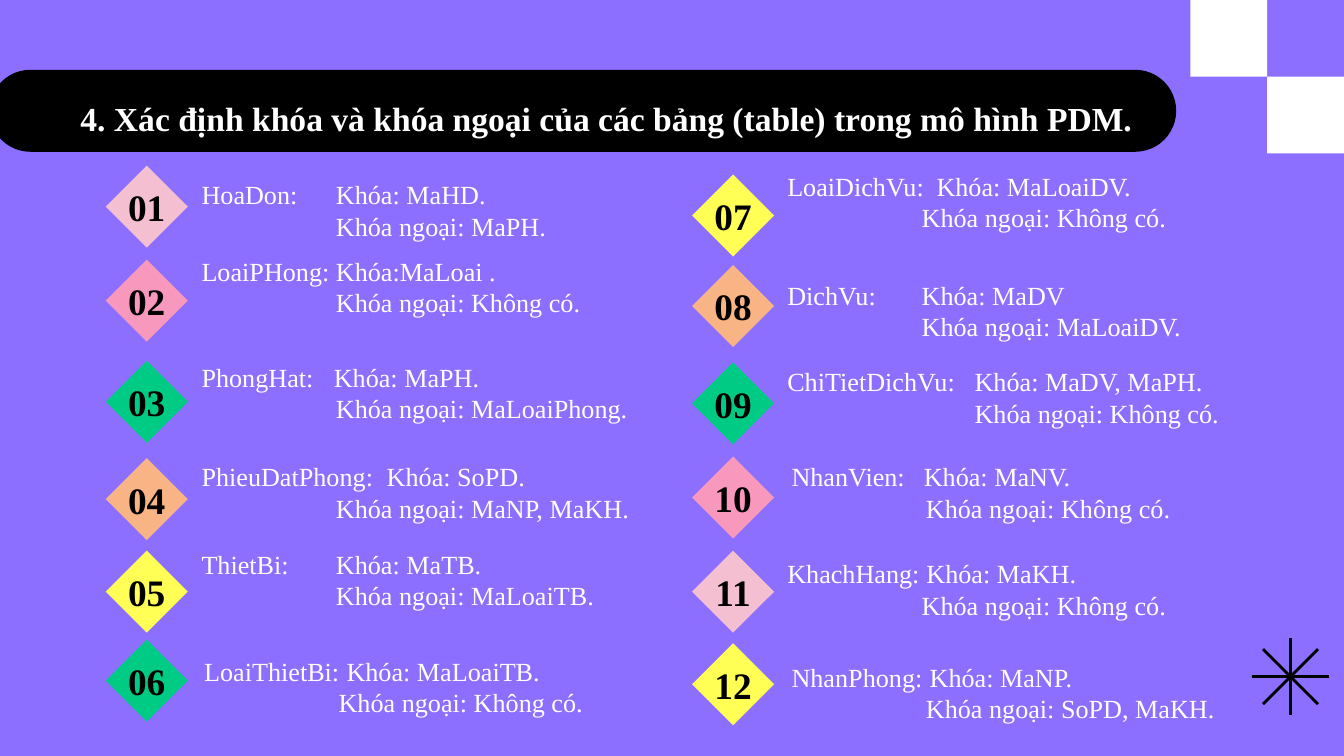
import dataclasses

import pptx
import pptx.dml.color
import pptx.enum.shapes
import pptx.enum.text
import pptx.oxml
import pptx.oxml.ns
import pptx.util
from pptx.util import Cm

PRESET = pptx.enum.shapes.MSO_SHAPE
ALIGN = pptx.enum.text.PP_ALIGN
ANCHOR = pptx.enum.text.MSO_ANCHOR
FONT = "Times New Roman"
COLOURS = {
    "violet": "8D6FFF",
    "white": "FFFFFF",
    "black": "000000",
    "blush": "F3BFD1",
    "pink": "F998BD",
    "green": "00CB84",
    "orange": "F9B485",
    "yellow": "FFFF56",
}
NUMBER_SIZE = 1.55
KEY_STOP = 2.54


@dataclasses.dataclass
class Table:
    """One database table; lengths in cm, stops measured from the text start."""
    name: str
    key: str
    foreign: str
    colour: str
    number_top: float
    text_top: float
    key_stop: float = KEY_STOP
    foreign_stop: float = KEY_STOP
    shift: float = 0


@dataclasses.dataclass
class Column:
    number_left: float
    text_left: float
    tables: list[Table]


COLUMNS = [
    Column(2, 3.56, [
        Table("HoaDon:", "Khóa: MaHD.", "MaPH.", "blush", 3.13, 3.28),
        Table("LoaiPHong:", "Khóa:MaLoai .", "Không có.", "pink", 4.91, 4.72),
        Table("PhongHat:", "Khóa: MaPH.", "MaLoaiPhong.", "green", 6.82, 6.73, key_stop=2.5),
        Table("PhieuDatPhong:", "Khóa: SoPD.", "MaNP, MaKH.", "orange", 8.66, 8.61, key_stop=3.5),
        Table("ThietBi:", "Khóa: MaTB.", "MaLoaiTB.", "yellow", 10.41, 10.26),
        Table("LoaiThietBi:", "Khóa: MaLoaiTB.", "Không có.", "green", 12.09, 12.29,
              key_stop=2.69, shift=0.05),
    ]),
    Column(13.08, 14.63, [
        Table("LoaiDichVu:", "Khóa: MaLoaiDV.", "Không có.", "yellow", 3.3, 3.12, key_stop=2.82),
        Table("DichVu:", "Khóa: MaDV", "MaLoaiDV.", "orange", 5.01, 5.18),
        Table("ChiTietDichVu:", "Khóa: MaDV, MaPH.", "Không có.", "green", 6.85, 6.81,
              key_stop=3.54, foreign_stop=3.54),
        Table("NhanVien:", "Khóa: MaNV.", "Không có.", "pink", 8.63, 8.61,
              key_stop=2.5, shift=0.08),
        Table("KhachHang:", "Khóa: MaKH.", "Không có.", "blush", 10.41, 10.44, key_stop=2.63),
        Table("NhanPhong:", "Khóa: MaNP.", "SoPD, MaKH.", "yellow", 12.16, 12.4,
              key_stop=2.61, shift=0.08),
    ]),
]


def rgb(colour: str) -> pptx.dml.color.RGBColor:
    return pptx.dml.color.RGBColor.from_string(COLOURS[colour])


def write(paragraph, text: str, *, size: float = 14, colour: str = "white",
          bold: bool = False, align=ALIGN.LEFT, stop: float | None = None) -> None:
    run = paragraph.add_run()
    run.text = text
    run.font.name = FONT
    run.font.size = pptx.util.Pt(size)
    run.font.bold = bold
    run.font.color.rgb = rgb(colour)
    paragraph.alignment = align
    if stop is not None:
        stops = pptx.oxml.parse_xml(
            f'<a:tabLst {pptx.oxml.ns.nsdecls("a")}>'
            f'<a:tab pos="{Cm(stop)}" algn="l"/></a:tabLst>')
        paragraph._p.get_or_add_pPr().append(stops)


def set_frame(frame, *, wrap: bool, anchor, side: float, end: float) -> None:
    frame.word_wrap = wrap
    frame.auto_size = pptx.enum.text.MSO_AUTO_SIZE.NONE
    frame.vertical_anchor = anchor
    frame.margin_left = frame.margin_right = Cm(side)
    frame.margin_top = frame.margin_bottom = Cm(end)


def add_block(slide, preset, left: float, top: float, width: float, height: float, colour: str):
    block = slide.shapes.add_shape(preset, Cm(left), Cm(top), Cm(width), Cm(height))
    block.shadow.inherit = False
    block.fill.solid()
    block.fill.fore_color.rgb = rgb(colour)
    block.line.fill.background()
    return block


def add_star(slide, x: float, y: float) -> None:
    for dx, dy in [(0, 0.73), (0.73, 0), (0.52, 0.52), (0.52, -0.52)]:
        ray = slide.shapes.add_connector(
            pptx.enum.shapes.MSO_CONNECTOR.STRAIGHT,
            Cm(x - dx), Cm(y - dy), Cm(x + dx), Cm(y + dy))
        ray.line.color.rgb = rgb("black")
        ray.line.width = pptx.util.Pt(1.5)
        ray._element.spPr.append(
            pptx.oxml.parse_xml(f'<a:effectLst {pptx.oxml.ns.nsdecls("a")}/>'))


def add_title(slide, text: str) -> None:
    title = slide.shapes.title
    bar = add_block(slide, PRESET.ROUNDED_RECTANGLE, -0.2, 1.32, 22.43, 1.55, "black")
    bar.adjustments[0] = 0.5
    title._element.addprevious(bar._element)
    title.left, title.top, title.width, title.height = Cm(0), Cm(1.47), Cm(22.43), Cm(1.14)
    set_frame(title.text_frame, wrap=True, anchor=ANCHOR.MIDDLE, side=0.25, end=0.25)
    heading = title.text_frame.paragraphs[0]
    heading.line_spacing = 1.5
    heading.space_before = heading.space_after = pptx.util.Pt(6)
    heading._p.get_or_add_pPr().set("marL", str(Cm(1.27)))
    write(heading, text, size=18, bold=True, align=ALIGN.JUSTIFY)


def add_entry(slide, column: Column, number: int, table: Table) -> None:
    diamond = add_block(slide, PRESET.DIAMOND, column.number_left, table.number_top,
                        NUMBER_SIZE, NUMBER_SIZE, table.colour)
    set_frame(diamond.text_frame, wrap=False, anchor=ANCHOR.MIDDLE, side=0, end=0)
    write(diamond.text_frame.paragraphs[0], f"{number:02}", size=20, colour="black",
          bold=True, align=ALIGN.CENTER)

    keys = slide.shapes.add_textbox(Cm(column.text_left + table.shift), Cm(table.text_top),
                                    Cm(8.76), Cm(1.32)).text_frame
    set_frame(keys, wrap=True, anchor=ANCHOR.TOP, side=0.25, end=0.1)
    write(keys.paragraphs[0], f"{table.name}\t{table.key}", stop=table.key_stop)
    write(keys.add_paragraph(), f"\tKhóa ngoại: {table.foreign}", stop=table.foreign_stop)


def main() -> None:
    deck = pptx.Presentation()
    deck.slide_width, deck.slide_height = Cm(25.4), Cm(14.29)
    slide = deck.slides.add_slide(deck.slide_layouts[5])
    slide.background.fill.solid()
    slide.background.fill.fore_color.rgb = rgb("violet")

    # Corner checkerboard and star
    for step in range(2):
        add_block(slide, PRESET.RECTANGLE, 22.5 + 1.45 * step, 1.45 * step, 1.45, 1.45, "white")
    add_star(slide, 24.39, 12.79)

    # Title on its black bar
    add_title(slide, "4. Xác định khóa và khóa ngoại của các bảng (table) trong mô hình PDM.")

    # Numbered tables with their keys
    number = 0
    for column in COLUMNS:
        for table in column.tables:
            number += 1
            add_entry(slide, column, number, table)

    deck.save("out.pptx")


if __name__ == "__main__":
    main()
